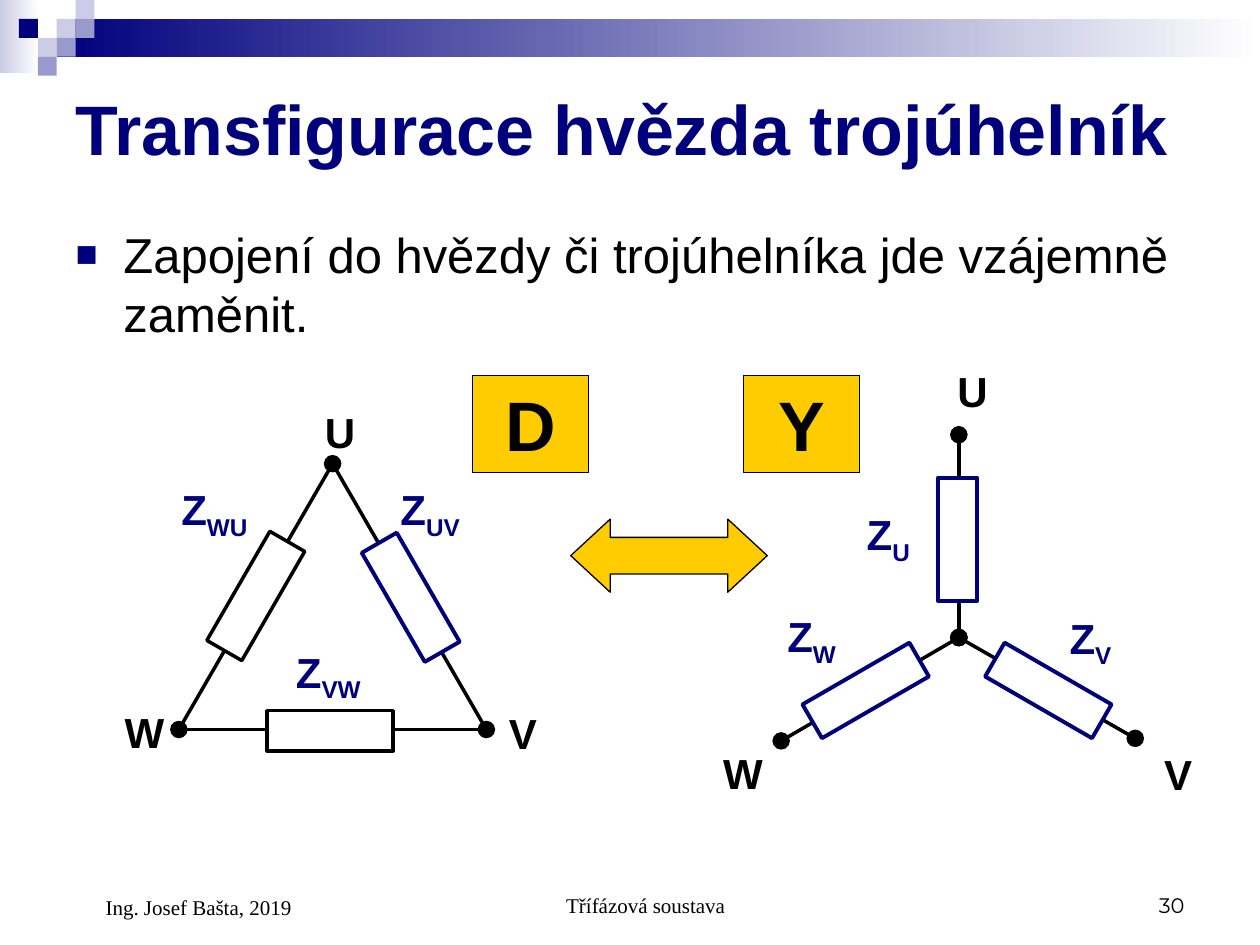
import dataclasses

import pptx
import pptx.dml.color
import pptx.enum.shapes
import pptx.enum.text
import pptx.oxml.ns
import pptx.util
from lxml import etree

Inches = pptx.util.Inches
Shape = pptx.enum.shapes.MSO_SHAPE
Align = pptx.enum.text.PP_ALIGN
Anchor = pptx.enum.text.MSO_ANCHOR


@dataclasses.dataclass(frozen=True)
class Theme:
    navy: str = "00007D"
    violet: str = "9999CC"
    lilac: str = "CCCCE6"
    gold: str = "FFCC00"
    black: str = "000000"
    white: str = "FFFFFF"
    sans: str = "Arial"
    serif: str = "Times New Roman"
    number: str = "Montserrat"
    title: int = 40
    body: int = 28
    label: int = 24
    footer: int = 12
    wire: float = 2
    accent_wire: float = 2.25
    thin: float = 0.75


THEME = Theme()


def rgb(color):
    return pptx.dml.color.RGBColor.from_string(color)


def add_xml(parent, tag, **attributes):
    return etree.SubElement(parent, pptx.oxml.ns.qn(tag), **attributes)


def write(frame, text, subscript="", size=THEME.label, color=THEME.black, font=THEME.sans,
          bold=False, align=Align.LEFT, anchor=Anchor.TOP, indent=0, bullet=False):
    """Fill a text frame with one paragraph, optionally ending in a subscript."""
    frame.word_wrap = True
    frame.auto_size = pptx.enum.text.MSO_AUTO_SIZE.NONE
    frame.vertical_anchor = anchor
    frame.margin_left = frame.margin_right = Inches(0.1)
    frame.margin_top = frame.margin_bottom = Inches(0.05)
    paragraph = frame.paragraphs[0]
    paragraph.alignment = align
    paragraph.space_before = pptx.util.Pt(0)
    properties = paragraph._p.get_or_add_pPr()
    properties.set("marL", str(Inches(indent)))
    properties.set("indent", str(Inches(-indent if bullet else 0)))
    if bullet:
        bullet_color = add_xml(properties, "a:buClr")
        add_xml(bullet_color, "a:srgbClr", val=THEME.navy)
        add_xml(properties, "a:buSzPct", val="75000")
        add_xml(properties, "a:buFont", typeface=THEME.sans)
        add_xml(properties, "a:buChar", char="■")
    for part, baseline in ((text, 0), (subscript, -25000)):
        if not part:
            continue
        run = paragraph.add_run()
        run.text = part
        run.font.name = font
        run.font.size = pptx.util.Pt(size)
        run.font.bold = bold
        run.font.color.rgb = rgb(color)
        if baseline:
            run._r.get_or_add_rPr().set("baseline", str(baseline))


def add_text(slide, box, text, **style):
    write(slide.shapes.add_textbox(*map(Inches, box)).text_frame, text, **style)


def add_box(slide, box, fill, line=None, width=THEME.thin, kind=Shape.RECTANGLE):
    """Add a preset shape; a pair of colours as fill runs from right to left."""
    shape = slide.shapes.add_shape(kind, *map(Inches, box))
    shape.shadow.inherit = False
    if isinstance(fill, tuple):
        shape.fill.gradient()
        shape.fill.gradient_angle = 180
        for stop, color in zip(shape.fill.gradient_stops, fill):
            stop.color.rgb = rgb(color)
    else:
        shape.fill.solid()
        shape.fill.fore_color.rgb = rgb(fill)
    if line:
        shape.line.color.rgb = rgb(line)
        shape.line.width = pptx.util.Pt(width)
    else:
        shape.line.fill.background()
    return shape


def add_wire(slide, start, end, dots):
    wire = slide.shapes.add_connector(pptx.enum.shapes.MSO_CONNECTOR.STRAIGHT,
                                      *map(Inches, (*start, *end)))
    wire.line.color.rgb = rgb(THEME.black)
    wire.line.width = pptx.util.Pt(THEME.wire)
    outline = wire.line._get_or_add_ln()
    for dot in dots:
        add_xml(outline, dot, type="oval", w="lg", len="lg")
    add_xml(wire._element.spPr, "a:effectLst")


def add_circuit(slide, box, branches, nodes, impedances, resistor, dots):
    """Draw wires with resistors on them, then the labels, all offset from the box corner."""
    left, top = box[:2]
    long_side, short_side = resistor
    for (x1, y1), (x2, y2), (cx, cy), angle, color in branches:
        add_wire(slide, (left + x1, top + y1), (left + x2, top + y2), dots)
        body = (left + cx - long_side / 2, top + cy - short_side / 2, long_side, short_side)
        width = THEME.accent_wire if color == THEME.navy else THEME.wire
        add_box(slide, body, THEME.white, color, width).rotation = angle
    for name, x, y in nodes:
        add_text(slide, (left + x, top + y, 0.58, 0.5), name, bold=True)
    for index, x, y in impedances:
        add_text(slide, (left + x, top + y, 0.95, 0.56), "Z", subscript=index,
                 color=THEME.navy, bold=True)


def add_delta(slide, box):
    u, v, w = (1.75, 0.5), (2.97, 2.61), (0.53, 2.61)
    branches = [
        (w, v, (1.73, 2.62), 0, THEME.black),
        (v, u, (2.37, 1.56), 240, THEME.navy),
        (u, w, (1.14, 1.55), 120, THEME.black),
    ]
    nodes = [("U", 1.59, 0), ("V", 3.05, 2.39), ("W", 0, 2.38)]
    impedances = [("UV", 2.19, 0.61), ("VW", 1.36, 1.9), ("WU", 0.45, 0.61)]
    add_circuit(slide, box, branches, nodes, impedances, (1, 0.32), ["a:tailEnd"])


def add_star(slide, box):
    center = (1.97, 2.21)
    branches = [
        (center, (1.97, 0.6), (1.96, 1.43), 90, THEME.navy),
        (center, (3.37, 3.01), (2.68, 2.63), 30, THEME.navy),
        (center, (0.56, 3.03), (1.23, 2.63), 150, THEME.navy),
    ]
    nodes = [("U", 1.86, 0), ("V", 3.5, 3.04), ("W", 0, 3.03)]
    impedances = [("U", 1.14, 1.14), ("V", 2.75, 1.96), ("W", 0.51, 1.95)]
    add_circuit(slide, box, branches, nodes, impedances, (0.98, 0.31),
                ["a:headEnd", "a:tailEnd"])


def add_conversion(slide, box):
    """Place the D and Y tiles at the top corners and the double arrow between them."""
    left, top, width, _ = box
    tile = 0.92
    arrow = add_box(slide, (left + 0.78, top + 1.14, 1.56, 0.58), THEME.gold, THEME.black,
                    kind=Shape.LEFT_RIGHT_ARROW)
    arrow.adjustments[0], arrow.adjustments[1] = 0.5, 0.54
    for symbol, x in (("D", left), ("Y", left + width - tile)):
        square = add_box(slide, (x, top, tile, 0.77), THEME.gold, THEME.black)
        write(square.text_frame, symbol, size=THEME.title, bold=True, align=Align.CENTER)


def add_banner(slide, box):
    left, top, width, _ = box
    cell = 0.15
    add_box(slide, (left, top, 0.31, 0.58), (THEME.white, THEME.lilac))
    add_box(slide, (left + 0.45, top + cell, width - 0.45, 2 * cell), (THEME.white, THEME.navy))
    mosaic = [(3, 1, THEME.lilac), (4, 0, THEME.lilac), (4, 1, THEME.violet),
              (2, 2, THEME.lilac), (1, 1, THEME.navy), (3, 2, THEME.violet),
              (2, 3, THEME.violet)]
    for column, row, color in mosaic:
        add_box(slide, (left + column * cell, top + row * cell, cell, cell), color)


def fill_placeholder(placeholder, box, text, **style):
    placeholder.left, placeholder.top, placeholder.width, placeholder.height = map(Inches, box)
    write(placeholder.text_frame, text, **style)


def add_footer(slide, box):
    left, top, width, height = box
    common = {"size": THEME.footer, "anchor": Anchor.BOTTOM}
    add_text(slide, (left + 2.92, top, 3.17, height), "Třífázová soustava",
             font=THEME.serif, align=Align.CENTER, indent=0.24, **common)
    add_text(slide, (left + width - 2.33, top, 2.33, height), "30",
             font=THEME.number, align=Align.RIGHT, **common)
    add_text(slide, (left, top, 2.33, height + 0.02), "Ing. Josef Bašta, 2019",
             font=THEME.serif, indent=0.24, **common)


def main():
    deck = pptx.Presentation()
    deck.slide_width, deck.slide_height = Inches(10), Inches(7.5)
    slide = deck.slides.add_slide(deck.slide_layouts[1])
    add_banner(slide, (0, 0, 10, 0.6))
    fill_placeholder(slide.shapes.title, (0.5, 0.5, 9, 1.03), "Transfigurace hvězda trojúhelník",
                     size=THEME.title, color=THEME.navy, bold=True, anchor=Anchor.MIDDLE)
    fill_placeholder(slide.placeholders[1], (0.5, 1.73, 9, 1.26),
                     "Zapojení do hvězdy či trojúhelníka jde vzájemně zaměnit.",
                     size=THEME.body, indent=0.38, bullet=True)
    add_delta(slide, (0.89, 3.18, 3.53, 2.89))
    add_star(slide, (5.64, 2.85, 3.97, 3.54))
    add_conversion(slide, (3.75, 2.98, 3.07, 1.72))
    add_footer(slide, (0.5, 6.83, 9, 0.5))
    deck.save("out.pptx")


if __name__ == "__main__":
    main()
